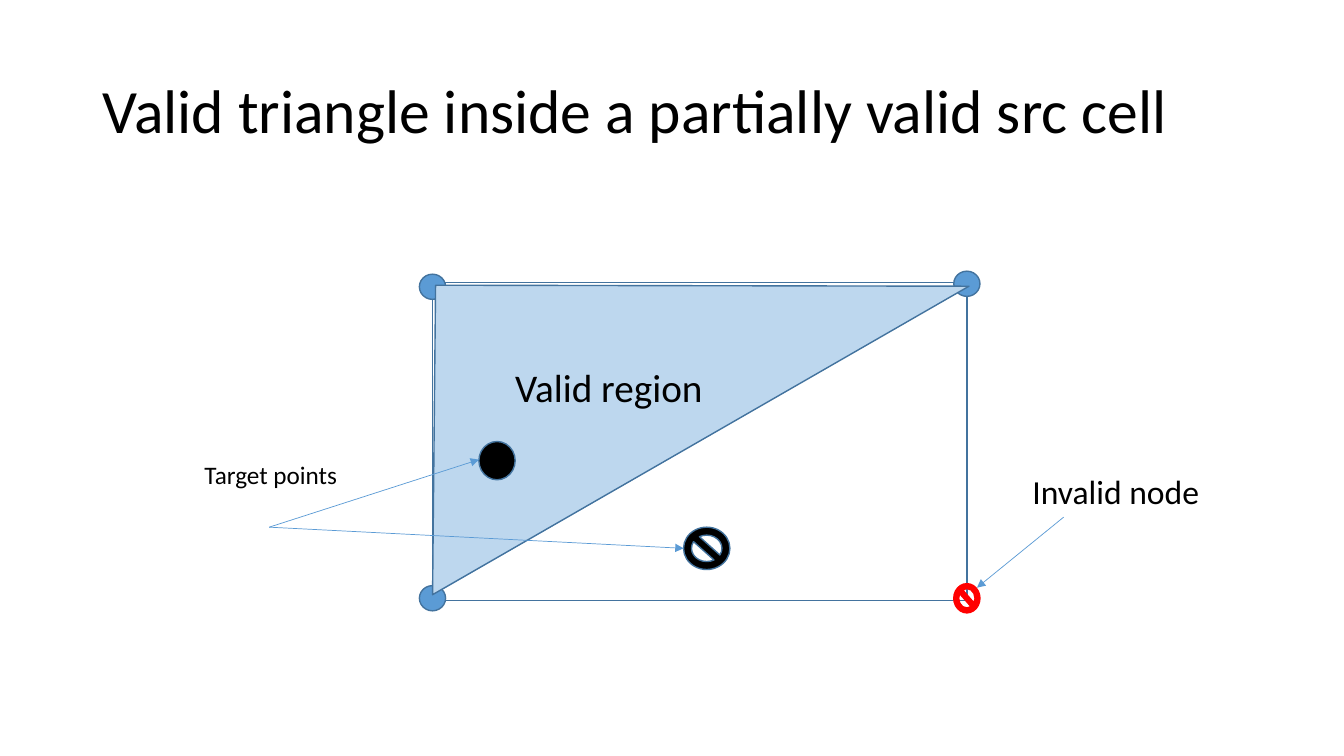
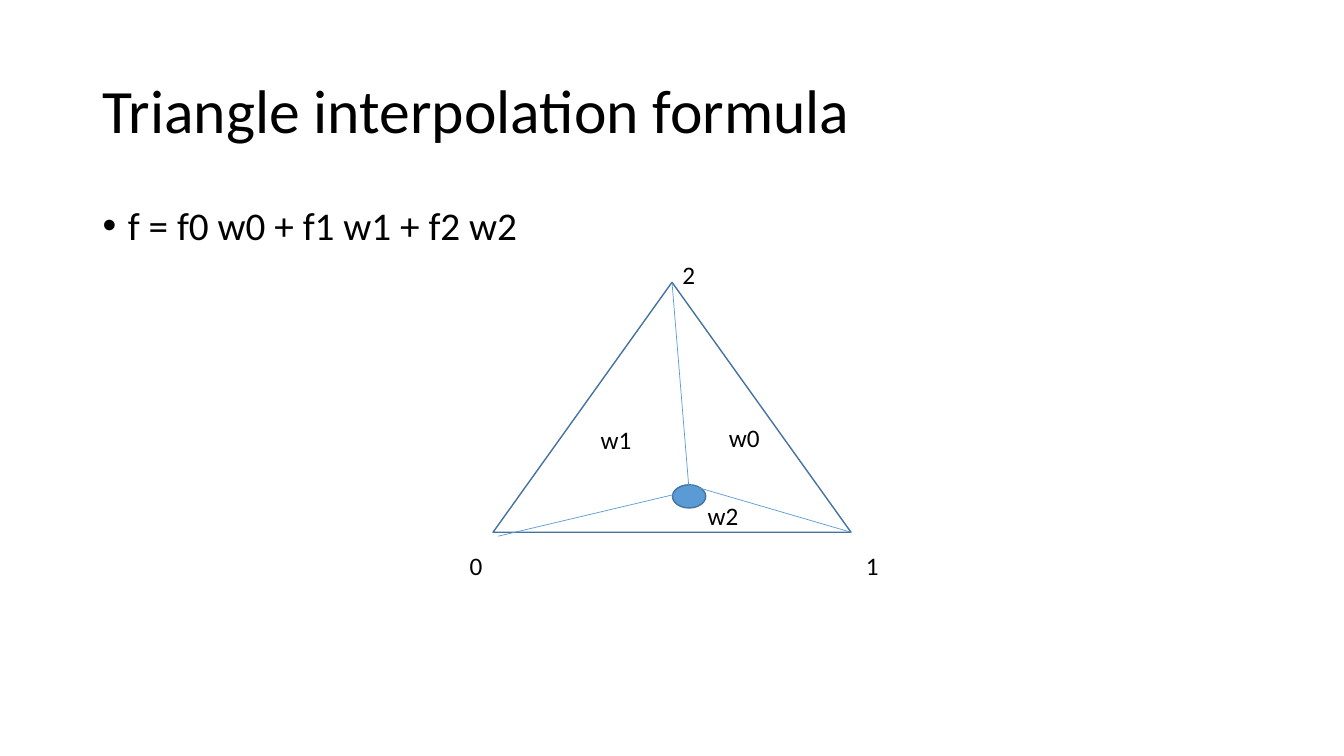
from typing import NamedTuple

from lxml.etree import SubElement
from pptx import Presentation
from pptx.dml.color import RGBColor
from pptx.enum.shapes import MSO_CONNECTOR as LINK, MSO_SHAPE as SHAPE
from pptx.enum.text import MSO_ANCHOR as ANCHOR
from pptx.oxml.ns import qn
from pptx.util import Inches, Pt

COLORS = {"text": "000000", "blue": "5B9BD5", "edge": "43739E",
          "pale": "BDD7EE", "invalid": "FF0000"}
PARA_FORMAT = {"line_spacing": 0.9, "space_before": Pt(0)}
BULLET_FORMAT = {"line_spacing": 0.9, "space_before": Pt(10)}


class Box(NamedTuple):
    """A rectangle in inches."""
    left: float
    top: float
    width: float
    height: float

    def point(self, x, y):
        """Return the slide position of an offset from the corner."""
        return Inches(self.left + x), Inches(self.top + y)

    def inner(self, x, y, width, height):
        """Return a rectangle placed relative to the corner."""
        return Box(self.left + x, self.top + y, width, height)

    def lengths(self):
        """Return the four lengths for python-pptx."""
        return tuple(Inches(value) for value in self)


TITLE_BOX = Box(0.92, 0.4, 11.5, 1.45)
BODY_BOX = Box(0.92, 2, 11.5, 4.76)
CELL_BOX = Box(4.29, 2.8, 5.3, 3.16)
TRIANGLE_BOX = Box(4.89, 2.8, 3.55, 2.48)


def color(name):
    """Look up a deck colour."""
    return RGBColor.from_string(COLORS[name])


def apply_format(target, values):
    """Set each named attribute on the target."""
    for name, value in values.items():
        setattr(target, name, value)


def add_text(page, box, text, size, wrap=False, anchor=ANCHOR.TOP, para_format=None):
    """Add a text box and return its paragraph."""
    frame = page.shapes.add_textbox(*box.lengths()).text_frame
    apply_format(frame, {"word_wrap": wrap, "vertical_anchor": anchor})
    para = frame.paragraphs[0]
    apply_format(para, para_format or {})
    span = para.add_run()
    span.text = text
    apply_format(span.font, {"name": "Calibri", "size": Pt(size)})
    span.font.color.rgb = color("text")
    return para


def style_shape(shape, fill=None, edge="edge"):
    """Give a shape its fill and outline without a shadow."""
    shape.shadow.inherit = False
    if fill:
        shape.fill.solid()
        shape.fill.fore_color.rgb = color(fill)
    else:
        shape.fill.background()
    shape.line.color.rgb = color(edge)
    shape.line.width = Pt(1)


def add_shape(page, kind, box, fill=None, edge="edge"):
    """Add a styled preset shape."""
    style_shape(page.shapes.add_shape(kind, *box.lengths()), fill, edge)


def add_line(page, start, end, arrow=False):
    """Add a thin line with an optional arrowhead."""
    link = page.shapes.add_connector(LINK.STRAIGHT, *start, *end)
    link.line.color.rgb = color("blue")
    link.line.width = Pt(0.5)
    if arrow:
        SubElement(link.line._get_or_add_ln(), qn("a:tailEnd"), type="triangle")
    SubElement(link._element.spPr, qn("a:effectLst"))


def add_page(deck, title):
    """Add a blank page with the shared title style."""
    page = deck.slides.add_slide(deck.slide_layouts[6])
    add_text(page, TITLE_BOX, title, 44, True, ANCHOR.MIDDLE, PARA_FORMAT)
    return page


def add_bullet(page, box, text):
    """Add a bulleted line of body text."""
    para = add_text(page, box, text, 28, True, para_format=BULLET_FORMAT)
    props = para._p.get_or_add_pPr()
    for name, value in {"marL": Inches(0.25), "indent": Inches(-0.25)}.items():
        props.set(name, str(value))
    SubElement(props, qn("a:buFont"), typeface="Arial")
    SubElement(props, qn("a:buChar"), char="•")


def draw_cell(page, box):
    """Draw the source cell with its nodes, valid region and targets."""
    add_shape(page, SHAPE.RECTANGLE, box)
    for x, y in [(-0.13, -0.08), (-0.13, 3.01), (5.17, -0.11)]:
        add_shape(page, SHAPE.OVAL, box.inner(x, y, 0.26, 0.25), "blue")
    add_shape(page, SHAPE.NO_SYMBOL, box.inner(5.17, 2.99, 0.26, 0.29),
              "invalid", "invalid")
    add_line(page, box.point(0.09, 3.05), box.point(5.21, 0.1))

    builder = page.shapes.build_freeform(*box.point(0.03, 0.03))
    builder.add_line_segments([box.point(0, 3.1), box.point(5.32, 0.04)], close=True)
    style_shape(builder.convert_to_shape(), "pale")

    add_shape(page, SHAPE.NO_SYMBOL, box.inner(2.49, 2.43, 0.46, 0.42), "text")
    add_shape(page, SHAPE.OVAL, box.inner(0.46, 1.58, 0.36, 0.38), "text")
    target_origin = box.point(-1.62, 2.43)
    for start, end in [(box.point(6.26, 2.33), box.point(5.4, 3.03)),
                       (target_origin, box.point(0.46, 1.76)),
                       (target_origin, box.point(2.49, 2.64))]:
        add_line(page, start, end, arrow=True)
    for text, size, place in [("Invalid node ", 24, (5.85, 1.82, 1.95, 0.5)),
                              ("Valid region", 28, (0.72, 0.76, 2.08, 0.57)),
                              ("Target points", 18, (-2.36, 1.71, 1.53, 0.4))]:
        add_text(page, box.inner(*place), text, size)


def draw_triangle(page, box):
    """Draw the triangle split into weights around the target point."""
    add_shape(page, SHAPE.ISOSCELES_TRIANGLE, box)
    add_shape(page, SHAPE.OVAL, box.inner(1.78, 2.01, 0.33, 0.23), "blue")
    for start, end in [((box.width / 2, 0), (1.94, 2.01)),
                       ((1.94, 2.01), (box.width, box.height)),
                       ((1.99, 2.06), (0.05, 2.52))]:
        add_line(page, box.point(*start), box.point(*end))
    for text, x, y in [("0", -0.33, 2.61), ("1", 3.6, 2.61), ("2", 1.78, -0.28),
                       ("w0", 2.24, 1.34), ("w1", 0.97, 1.36), ("w2", 2.03, 2.11)]:
        width = 0.33 if len(text) == 1 else 0.51
        add_text(page, box.inner(x, y, width, 0.4), text, 18)


def build_deck():
    """Build and save the deck."""
    deck = Presentation()
    apply_format(deck, {"slide_width": Inches(13.33), "slide_height": Inches(7.5)})
    page = add_page(deck, "Valid triangle inside a partially valid src cell")
    draw_cell(page, CELL_BOX)
    page = add_page(deck, "Triangle interpolation formula")
    add_bullet(page, BODY_BOX, "f = f0 w0 + f1 w1 + f2 w2")
    draw_triangle(page, TRIANGLE_BOX)
    deck.save("out.pptx")


build_deck()
